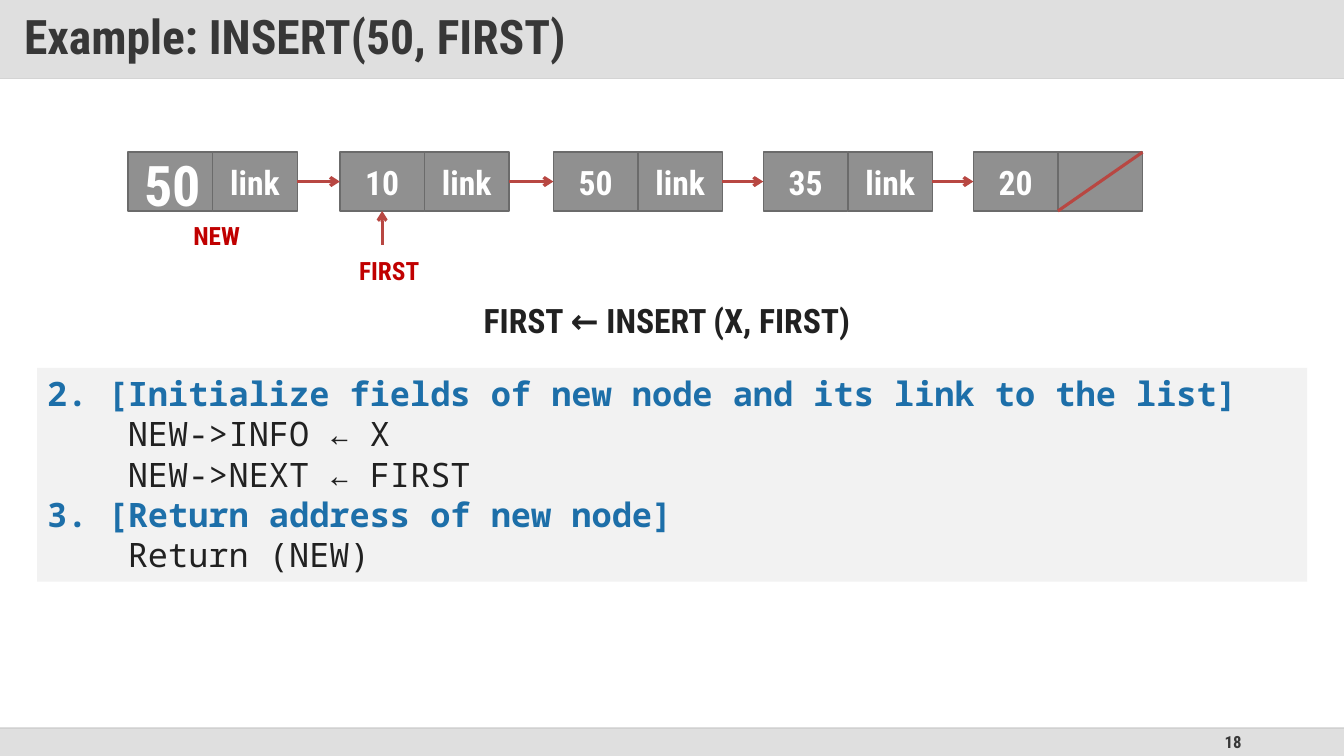
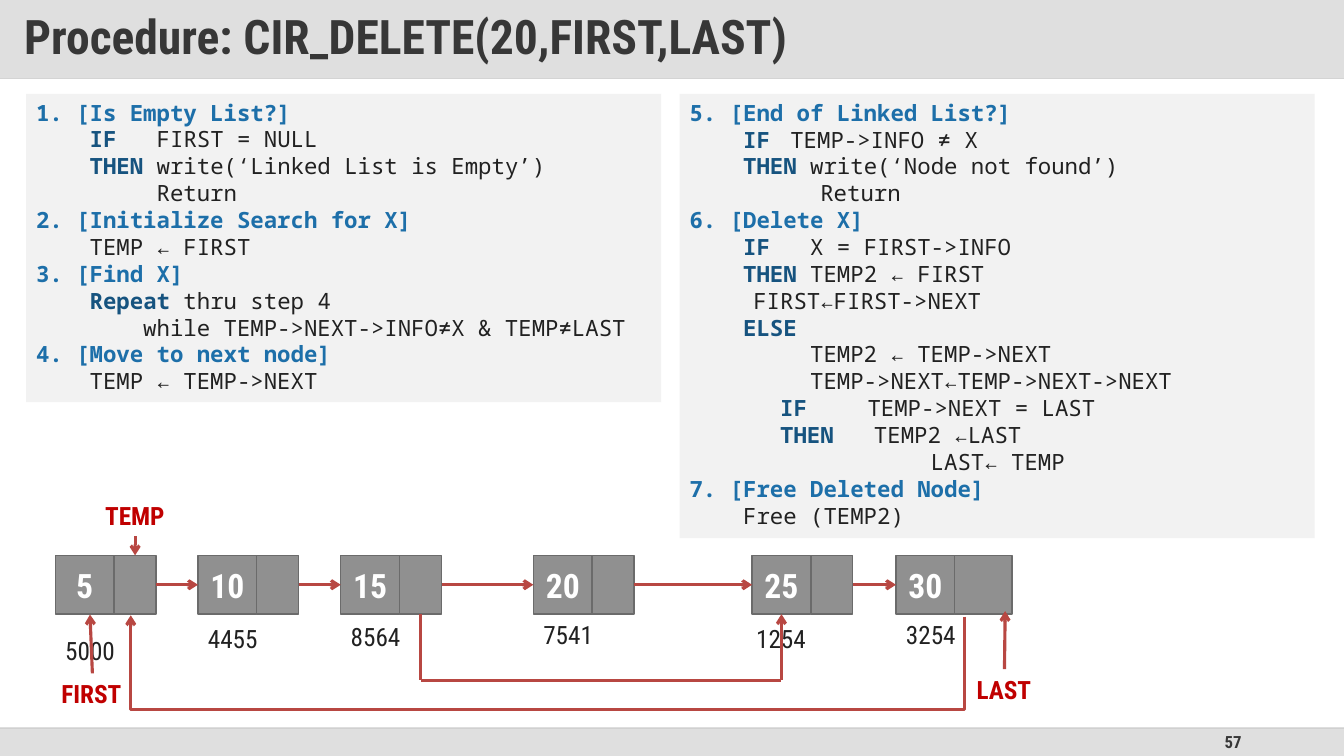
import pptx
import pptx.dml.color
import pptx.enum.shapes
import pptx.enum.text
import pptx.oxml.ns
import pptx.util
from lxml import etree

Pt = pptx.util.Pt
qn = pptx.oxml.ns.qn
ALIGN = pptx.enum.text.PP_ALIGN
ANCHOR = pptx.enum.text.MSO_ANCHOR
FIT = pptx.enum.text.MSO_AUTO_SIZE.SHAPE_TO_FIT_TEXT

COLORS = {
    "title_band": "C0C0C0",
    "title": "373737",
    "title_rule": "D9D9D9",
    "footer_band": "DFDFDF",
    "footer_rule": "BFBFBF",
    "node": "909090",
    "node_edge": "6B6B6B",
    "node_text": "FFFFFF",
    "arrow": "B84742",
    "pointer": "C00000",
    "text": "212121",
    "panel": "F2F2F2",
    "step": "1D6FA9",
    "keyword": "16537F",
}
SANS = "Roboto Condensed"
MONO = "Noto Sans Mono"
WIDTH, HEIGHT = 960, 540
TITLE_HEIGHT, FOOTER_TOP = 56, 520
NODE_HEIGHT = 42
TOP, LEFT, BOTTOM, RIGHT = range(4)
KEYWORDS = {"IF", "THEN", "ELSE", "Repeat"}

INSERT_STEPS = [
    "2. [Initialize fields of new node and its link to the list]",
    "    NEW->INFO ← X",
    "    NEW->NEXT ← FIRST",
    "3. [Return address of new node]",
    "    Return (NEW)",
]
SEARCH_STEPS = [
    "1. [Is Empty List?]",
    "    IF   FIRST = NULL",
    "    THEN write(‘Linked List is Empty’)",
    "         Return",
    "2. [Initialize Search for X]",
    "    TEMP ← FIRST",
    "3. [Find X]",
    "    Repeat thru step 4",
    "        while TEMP->NEXT->INFO≠X & TEMP≠LAST",
    "4. [Move to next node]",
    "    TEMP ← TEMP->NEXT",
]
DELETE_STEPS = [
    "5. [End of Linked List?]",
    "    IF\tTEMP->INFO ≠ X",
    "    THEN write(‘Node not found’)",
    " \t      Return",
    "6. [Delete X]",
    "    IF   X = FIRST->INFO",
    "    THEN TEMP2 ← FIRST",
    " \t FIRST←FIRST->NEXT",
    "    ELSE",
    "         TEMP2 ← TEMP->NEXT",
    "         TEMP->NEXT←TEMP->NEXT->NEXT",
    " \t   IF\t  TEMP->NEXT = LAST",
    " \t   THEN   TEMP2 ←LAST",
    "                  LAST← TEMP",
    "7. [Free Deleted Node]",
    "    Free (TEMP2)",
]


def rgb(name):
    return pptx.dml.color.RGBColor.from_string(COLORS[name])


def fade(shape, percent):
    for color in shape._element.spPr.iter(qn("a:srgbClr")):
        etree.SubElement(color, qn("a:alpha"), val=str(percent * 1000))


def add_run(paragraph, text, size, color, bold=True, font=SANS):
    run = paragraph.add_run()
    run.text = text
    run.font.name = font
    run.font.size = Pt(size)
    run.font.bold = bold
    run.font.color.rgb = rgb(color)


def add_box(shapes, left, top, width, height, fill, edge=None):
    box = shapes.add_shape(
        pptx.enum.shapes.MSO_SHAPE.RECTANGLE, Pt(left), Pt(top), Pt(width), Pt(height)
    )
    box.shadow.inherit = False
    box.fill.solid()
    box.fill.fore_color.rgb = rgb(fill)
    if edge:
        box.line.color.rgb = rgb(edge)
        box.line.width = Pt(1)
    else:
        box.line.fill.background()
    return box


def style_line(line, color, weight, arrowed):
    line.line.color.rgb = rgb(color)
    line.line.width = Pt(weight)
    if arrowed:
        outline = line._element.spPr.find(qn("a:ln"))
        etree.SubElement(outline, qn("a:tailEnd"), type="arrow")


def add_line(slide, start, end, color="arrow", weight=2.25, arrowed=True):
    """Each end is an (x, y) point in points or a (cell, side) joint."""
    line = slide.shapes.add_connector(
        pptx.enum.shapes.MSO_CONNECTOR.STRAIGHT, 0, 0, 0, 0
    )
    if isinstance(start[0], (int, float)):
        line.begin_x, line.begin_y = Pt(start[0]), Pt(start[1])
    else:
        line.begin_connect(*start)
    if isinstance(end[0], (int, float)):
        line.end_x, line.end_y = Pt(end[0]), Pt(end[1])
    else:
        line.end_connect(*end)
    style_line(line, color, weight, arrowed)
    etree.SubElement(line._element.spPr, qn("a:effectLst"))
    return line


def add_label(slide, text, left, top, width, size=18, color="pointer", bold=True):
    label = slide.shapes.add_textbox(
        Pt(left), Pt(top), Pt(width), Pt(size * 1.2 + 7.2)
    )
    label.text_frame.word_wrap = False
    label.text_frame.auto_size = FIT
    add_run(label.text_frame.paragraphs[0], text, size, color, bold)


def add_node(slide, left, top, cells):
    group = slide.shapes.add_group_shape()
    node = []
    for text, width in cells:
        cell = add_box(group.shapes, left, top, width, NODE_HEIGHT, "node", "node_edge")
        if text:
            frame = cell.text_frame
            frame.vertical_anchor = ANCHOR.MIDDLE
            frame.paragraphs[0].alignment = ALIGN.CENTER
            add_run(frame.paragraphs[0], text, 24, "node_text")
        node.append(cell)
        left += width
    return node


def chain(slide, nodes):
    for node, following in zip(nodes, nodes[1:]):
        add_line(slide, (node[-1], RIGHT), (following[0], LEFT))


def code_runs(line):
    if line[0].isdigit():
        return [(line, "step", True)]
    word = line.split()[0]
    if word not in KEYWORDS:
        return [(line, "text", False)]
    indent, keyword, rest = line.partition(word)
    runs = [(indent, "text", False), (keyword, "keyword", True), (rest, "text", False)]
    return [run for run in runs if run[0]]


def add_code(slide, lines, left, top, width, height, size):
    panel = add_box(slide.shapes, left, top, width, height, "panel")
    frame = panel.text_frame
    frame.word_wrap = True
    frame.auto_size = FIT
    frame.vertical_anchor = ANCHOR.TOP
    for index, line in enumerate(lines):
        paragraph = frame.add_paragraph() if index else frame.paragraphs[0]
        paragraph.alignment = ALIGN.LEFT
        for text, color, bold in code_runs(line):
            add_run(paragraph, text, size, color, bold, MONO)


def add_slide(deck, title, number):
    slide = deck.slides.add_slide(deck.slide_layouts[6])
    add_box(slide.shapes, 0, FOOTER_TOP, WIDTH, HEIGHT - FOOTER_TOP, "footer_band")
    page = slide.shapes.add_textbox(
        Pt(678), Pt(FOOTER_TOP), Pt(216), Pt(HEIGHT - FOOTER_TOP)
    ).text_frame
    page.word_wrap = True
    page.vertical_anchor = ANCHOR.MIDDLE
    page.paragraphs[0].alignment = ALIGN.RIGHT
    add_run(page.paragraphs[0], number, 12, "title")
    for y, color, opacity in [
        (TITLE_HEIGHT, "title_rule", 100),
        (FOOTER_TOP, "footer_rule", 70),
    ]:
        rule = add_line(slide, (0, y), (WIDTH, y), color, 1, False)
        fade(rule, opacity)
    band = add_box(slide.shapes, 0, 0, WIDTH, TITLE_HEIGHT, "title_band")
    fade(band, 50)
    frame = band.text_frame
    frame.word_wrap = True
    frame.vertical_anchor = ANCHOR.MIDDLE
    frame.margin_left = frame.margin_right = Pt(17.28)
    frame.margin_top = frame.margin_bottom = Pt(8.64)
    heading = frame.paragraphs[0]
    heading.alignment = ALIGN.LEFT
    heading.line_spacing = 0.9
    add_run(heading, title, 34, "title")
    return slide


def build_insert(deck):
    slide = add_slide(deck, "Example: INSERT(50, FIRST)", "18")
    top, cell_width = 108.7, 60.4
    nodes = [
        add_node(slide, left, top, [(info, cell_width), (link, cell_width)])
        for left, info, link in [
            (91.5, "", "link"),
            (242.8, "10", "link"),
            (395.3, "50", "link"),
            (545.2, "35", "link"),
            (695.3, "20", ""),
        ]
    ]
    chain(slide, nodes)
    null_left = 695.3 + cell_width
    add_line(
        slide,
        (null_left + cell_width, top),
        (null_left, top + NODE_HEIGHT),
        arrowed=False,
    )
    add_label(slide, "FIRST", 249.5, 178.5, 57.5)
    add_line(slide, (273, 175), (nodes[1][0], BOTTOM))
    add_label(slide, "NEW", 131, 154, 48)
    add_label(slide, "50", 95.8, 103.7, 55.5, 40, "node_text")
    add_code(slide, INSERT_STEPS, 26.6, 262.8, 907.2, 152.6, 24)
    add_label(slide, "FIRST ← INSERT (X, FIRST)", 338.4, 210.5, 283.5, 24, "text")


def build_delete(deck):
    slide = add_slide(deck, "Procedure: CIR_DELETE(20,FIRST,LAST)", "57")
    top = 396.7
    nodes = []
    for left, info, link_width, address, address_left, address_top in [
        (39.5, "5", 30, "5000", 39.5, 450),
        (141.4, "10", 30, "4455", 141.4, 442),
        (243.4, "15", 30, "8564", 243.4, 440),
        (381, "20", 30, "7541", 381, 439),
        (537.2, "25", 30, "1254", 533, 441.5),
        (640, "30", 41, "3254", 640, 439),
    ]:
        nodes.append(add_node(slide, left, top, [(info, 42), ("", link_width)]))
        add_label(slide, address, address_left, address_top, 51, 18, "text", False)
    chain(slide, nodes)

    add_label(slide, "FIRST", 36.8, 481, 57.5)
    add_line(slide, (66, 481), (64.3, 439))
    add_label(slide, "TEMP", 68, 354, 57.5)
    add_line(slide, (96.5, 383), (nodes[0][1], TOP))
    add_label(slide, "LAST", 690.5, 478, 54)
    add_line(slide, (717.5, 478), (718, 436.5))

    bypass_start, bypass_end = (300.4, 486), (558.2, 486)
    add_line(slide, (nodes[2][1], BOTTOM), bypass_start, arrowed=False)
    add_line(slide, bypass_start, bypass_end, arrowed=False)
    add_line(slide, bypass_end, (nodes[4][0], BOTTOM))

    add_code(slide, SEARCH_STEPS, 18.7, 67, 453.6, 220.3, 16)
    add_code(slide, DELETE_STEPS, 485.5, 67, 453.6, 317.4, 16)

    outline = slide.shapes.build_freeform(Pt(689), Pt(440.5))
    outline.add_line_segments(
        [(Pt(x), Pt(y)) for x, y in [(689, 507), (93.4, 507), (93.4, 439.5)]],
        close=False,
    )
    circular_link = outline.convert_to_shape()
    circular_link.shadow.inherit = False
    circular_link.fill.background()
    style_line(circular_link, "arrow", 2.25, True)


def main():
    deck = pptx.Presentation()
    deck.slide_width, deck.slide_height = Pt(WIDTH), Pt(HEIGHT)
    build_insert(deck)
    build_delete(deck)
    deck.save("out.pptx")


if __name__ == "__main__":
    main()
